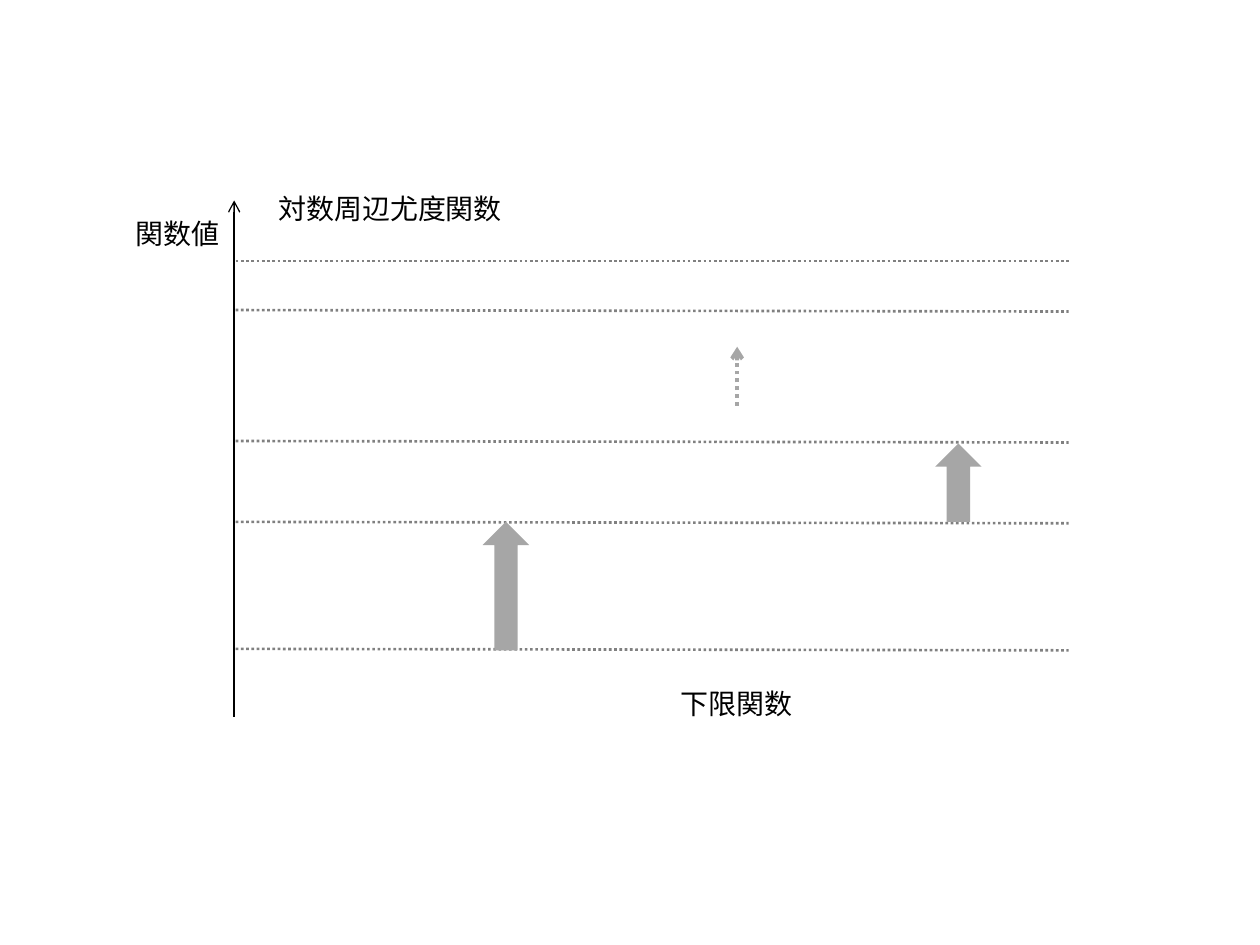
from lxml import etree
from pptx import Presentation
from pptx.dml.color import RGBColor
from pptx.enum.dml import MSO_LINE
from pptx.enum.shapes import MSO_CONNECTOR, MSO_SHAPE
from pptx.enum.text import MSO_AUTO_SIZE, PP_ALIGN
from pptx.oxml.ns import qn
from pptx.util import Cm, Pt

DOT = MSO_LINE.ROUND_DOT
LINE = MSO_CONNECTOR.STRAIGHT
UP = MSO_SHAPE.UP_ARROW
GROW = MSO_AUTO_SIZE.SHAPE_TO_FIT_TEXT
LEFT, MID = PP_ALIGN.LEFT, PP_ALIGN.CENTER

FONT = "Noto Sans CJK JP"
HUES = {"ink": "000000", "level": "808080", "rise": "A6A6A6"}

# Content, lengths in cm
LABELS = [  # text, left, top, width, alignment
    ("関数値", 2.49, 4.24, 2.24, LEFT),
    ("対数周辺尤度関数", 5.33, 3.73, 5.08, MID),
    ("下限関数", 13.46, 13.72, 2.79, MID),
]
LEVELS = [(5.26, 0), (6.25, 0.03), (8.89, 0.03), (10.52, 0.03), (13.08, 0.03)]  # top, drop
START, END = 4.75, 21.54
RISES = [(9.73, 10.52, 13.11), (18.85, 8.94, 10.52)]  # left, top, bottom
WIDE = 0.94

deck = Presentation()
deck.slide_width, deck.slide_height = Cm(25.4), Cm(19.05)
slide = deck.slides.add_slide(deck.slide_layouts[6])
shapes = slide.shapes


def hue(name):
    return RGBColor.from_string(HUES[name])


def write(text, left, top, width, align=LEFT, size=16, color="ink"):
    box = shapes.add_textbox(Cm(left), Cm(top), Cm(width), Cm(0.94))
    frame = box.text_frame
    frame.word_wrap = False
    frame.auto_size = GROW
    para = frame.paragraphs[0]
    para.alignment = align
    run = para.add_run()
    run.text = text
    run.font.name, run.font.size = FONT, Pt(size)
    run.font.color.rgb = hue(color)
    etree.SubElement(run.font._element, qn("a:ea"), typeface=FONT)


def draw(x1, y1, x2, y2, color, width, dash=None, arrow=False):
    link = shapes.add_connector(LINE, Cm(x1), Cm(y1), Cm(x2), Cm(y2))
    link.line.color.rgb = hue(color)
    link.line.width = Pt(width)
    if dash:
        link.line.dash_style = dash
    props = link._element.spPr
    if arrow:
        etree.SubElement(props.find(qn("a:ln")), qn("a:tailEnd"), type="arrow")
    etree.SubElement(props, qn("a:effectLst"))


# Dotted levels
for top, drop in LEVELS:
    draw(START, top, END, top + drop, "level", 1.5, DOT)

# Value axis
draw(4.72, 14.45, 4.72, 4.04, "ink", 0.75, arrow=True)

# Rises from level to level
for left, top, foot in RISES:
    rise = shapes.add_shape(UP, Cm(left), Cm(top), Cm(WIDE), Cm(foot - top))
    rise.shadow.inherit = False
    rise.fill.solid()
    rise.fill.fore_color.rgb = hue("rise")
    rise.line.fill.background()

# Labels
for text, left, top, width, align in LABELS:
    write(text, left, top, width, align=align)

# Further rises
draw(14.86, 8.18, 14.86, 6.99, "rise", 2.25, DOT, arrow=True)

deck.save("out.pptx")
